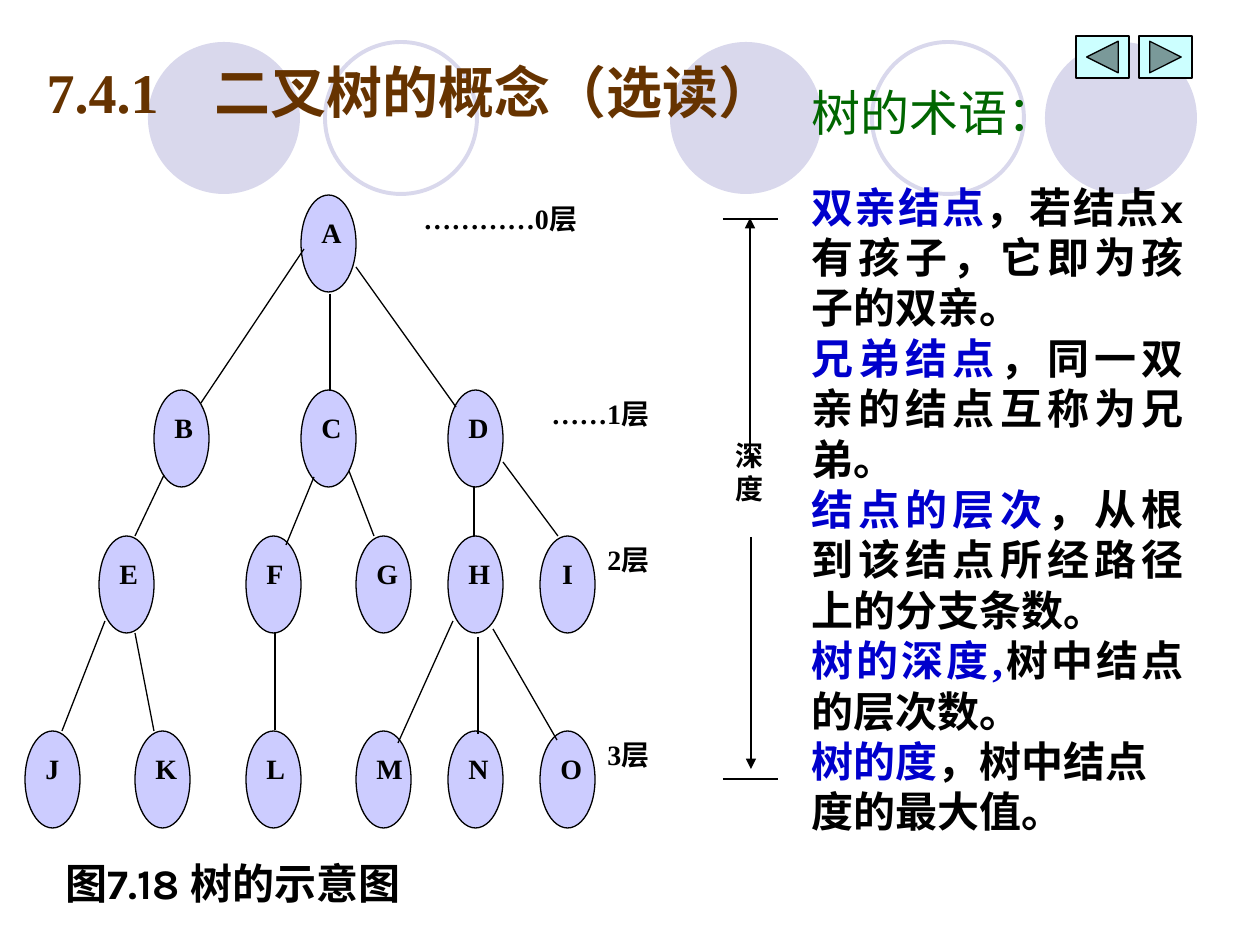
"""Builds a slide on binary tree terms with a four-level tree diagram."""
import pptx
import pptx.util
import pptx.dml.color
import pptx.enum.shapes
import pptx.enum.text
import pptx.oxml.ns
import lxml.etree

RGB = pptx.dml.color.RGBColor
SHAPE = pptx.enum.shapes.MSO_SHAPE
ALIGN = pptx.enum.text.PP_ALIGN
ANCHOR = pptx.enum.text.MSO_ANCHOR
BLACK = RGB(0x00, 0x00, 0x00)
BROWN = RGB(0x66, 0x33, 0x00)
BLUE = RGB(0x00, 0x00, 0xCC)
GREEN = RGB(0x00, 0x66, 0x00)
PALE = RGB(0xD9, 0xD8, 0xEC)
NODE = RGB(0xCC, 0xCC, 0xFF)
BUTTON = RGB(0xCC, 0xFF, 0xFF)
SERIF = "Times New Roman"
PX = 914400 / 126


def place(*lengths):
    return [pptx.util.Emu(round(length * PX)) for length in lengths]


def write(frame, paragraphs, size, align, bold=True):
    frame.word_wrap = True
    frame.vertical_anchor = ANCHOR.TOP
    for number, spans in enumerate(paragraphs):
        para = frame.paragraphs[0] if number == 0 else frame.add_paragraph()
        para.alignment = align
        for text, font, color in spans:
            span = para.add_run()
            span.text = text
            span.font.name = font
            span.font.size = pptx.util.Pt(size)
            span.font.bold = bold
            span.font.color.rgb = color


deck = pptx.Presentation()
deck.slide_width, deck.slide_height = place(1260, 945)
page = deck.slides.add_slide(deck.slide_layouts[5])

title = page.shapes.title
title.left, title.top, title.width, title.height = place(34, 38, 804, 107)
write(title.text_frame, [[("7.4.1\u3000二叉树的概念（选读）".replace("\u3000", "　"), SERIF, BROWN)]], 32, ALIGN.LEFT)
title.text_frame.vertical_anchor = ANCHOR.MIDDLE

for left, filled in [(670, True), (1045, True), (148, True), (872, False), (325, False)]:
    circle = page.shapes.add_shape(SHAPE.OVAL, *place(left, 42, 152, 152))
    circle.shadow.inherit = False
    if filled:
        circle.fill.solid()
        circle.fill.fore_color.rgb = PALE
        circle.line.fill.background()
    else:
        circle.fill.background()
        circle.line.color.rgb = PALE
        circle.line.width = pptx.util.Pt(2.25)
    title.element.addprevious(circle.element)

levels = [
    (195, [("A", 15)]),
    (390, [("B", 7), ("C", 15), ("D", 23)]),
    (536, [("E", 4), ("F", 12), ("G", 18), ("H", 23), ("I", 28)]),
    (731, [("J", 0), ("K", 6), ("L", 12), ("M", 18), ("N", 23), ("O", 28)]),
]
for top, nodes in levels:
    for letter, column in nodes:
        node = page.shapes.add_shape(SHAPE.OVAL, *place(25 + round(18.4 * column), top, 55, 97))
        node.shadow.inherit = False
        node.fill.solid()
        node.fill.fore_color.rgb = NODE
        node.line.color.rgb = BLACK
        node.line.width = pptx.util.Pt(0.75)
        write(node.text_frame, [[(letter, SERIF, BLACK)]], 16, ALIGN.CENTER)

branches = [
    (201, 403, 304, 249), (164, 475, 135, 536), (62, 731, 105, 621),
    (154, 731, 135, 633), (330, 294, 330, 391), (314, 477, 286, 545),
    (275, 633, 275, 730), (374, 536, 349, 471), (356, 267, 456, 407),
    (474, 487, 474, 536), (478, 637, 478, 734), (503, 462, 558, 536),
    (493, 629, 557, 740), (453, 621, 398, 743),
]
depth_ends = [(723, 219, 778, 219), (723, 779, 778, 779)]
depth_arrows = [(750, 462, 750, 218), (751, 537, 751, 769)]
for ends in branches + depth_ends + depth_arrows:
    line = page.shapes.add_connector(pptx.enum.shapes.MSO_CONNECTOR.STRAIGHT, *place(*ends))
    line.line.color.rgb = BLACK
    line.line.width = pptx.util.Pt(0.75)
    if ends in depth_arrows:
        outline = line.line._get_or_add_ln()
        lxml.etree.SubElement(outline, pptx.oxml.ns.qn("a:tailEnd"), type="triangle")
    lxml.etree.SubElement(line.element.spPr, pptx.oxml.ns.qn("a:effectLst"))

terms = [
    [("双亲结点", SERIF, BLUE), ("，若结点", SERIF, BLACK), ("x", "Karla", BLACK),
     ("有孩子，它即为孩子的双亲。", SERIF, BLACK)],
    [("兄弟结点", SERIF, BLUE), ("，同一双亲的结点互称为兄弟。", SERIF, BLACK)],
    [("结点的层次", SERIF, BLUE), ("，从根到该结点所经路径上的分支条数。", SERIF, BLACK)],
    [("树的深度,", SERIF, BLUE), ("树中结点的层次数。", SERIF, BLACK)],
    [("树的度", SERIF, BLUE), ("，树中结点度的最大值。", SERIF, BLACK)],
]
caption = [[("图", SERIF, BLACK), ("7.18 ", "Karla", BLACK), ("树的示意图", SERIF, BLACK)]]
texts = [
    ((411, 195, 295, 73), [[("…………0层", SERIF, BLACK)]], 16, ALIGN.JUSTIFY),
    ((539, 390, 165, 73), [[("……1层", SERIF, BLACK)]], 16, ALIGN.JUSTIFY),
    ((595, 536, 111, 73), [[("2层", SERIF, BLACK)]], 16, ALIGN.JUSTIFY),
    ((595, 731, 111, 73), [[("3层", SERIF, BLACK)]], 16, ALIGN.JUSTIFY),
    ((723, 432, 55, 177), [[("深度", SERIF, BLACK)]], 16, ALIGN.JUSTIFY),
    ((53, 851, 538, 63), caption, 24, ALIGN.LEFT),
    ((799, 175, 397, 668), terms, 24, ALIGN.JUSTIFY),
]
for area, paragraphs, size, align in texts:
    box = page.shapes.add_textbox(*place(*area))
    write(box.text_frame, paragraphs, size, align)
box.text_frame.paragraphs[-1].alignment = ALIGN.LEFT

heading = page.shapes.add_textbox(*place(799, 76, 270, 72))
write(heading.text_frame, [[("树的术语：", "Arial", GREEN)]], 28, ALIGN.LEFT, bold=False)
heading.text_frame.word_wrap = False

for left, kind in [(1076, SHAPE.ACTION_BUTTON_BACK_OR_PREVIOUS), (1139, SHAPE.ACTION_BUTTON_FORWARD_OR_NEXT)]:
    button = page.shapes.add_shape(kind, *place(left, 36, 53, 42))
    button.shadow.inherit = False
    button.fill.solid()
    button.fill.fore_color.rgb = BUTTON
    button.line.color.rgb = BLACK
    button.line.width = pptx.util.Pt(0.75)

deck.save("out.pptx")
